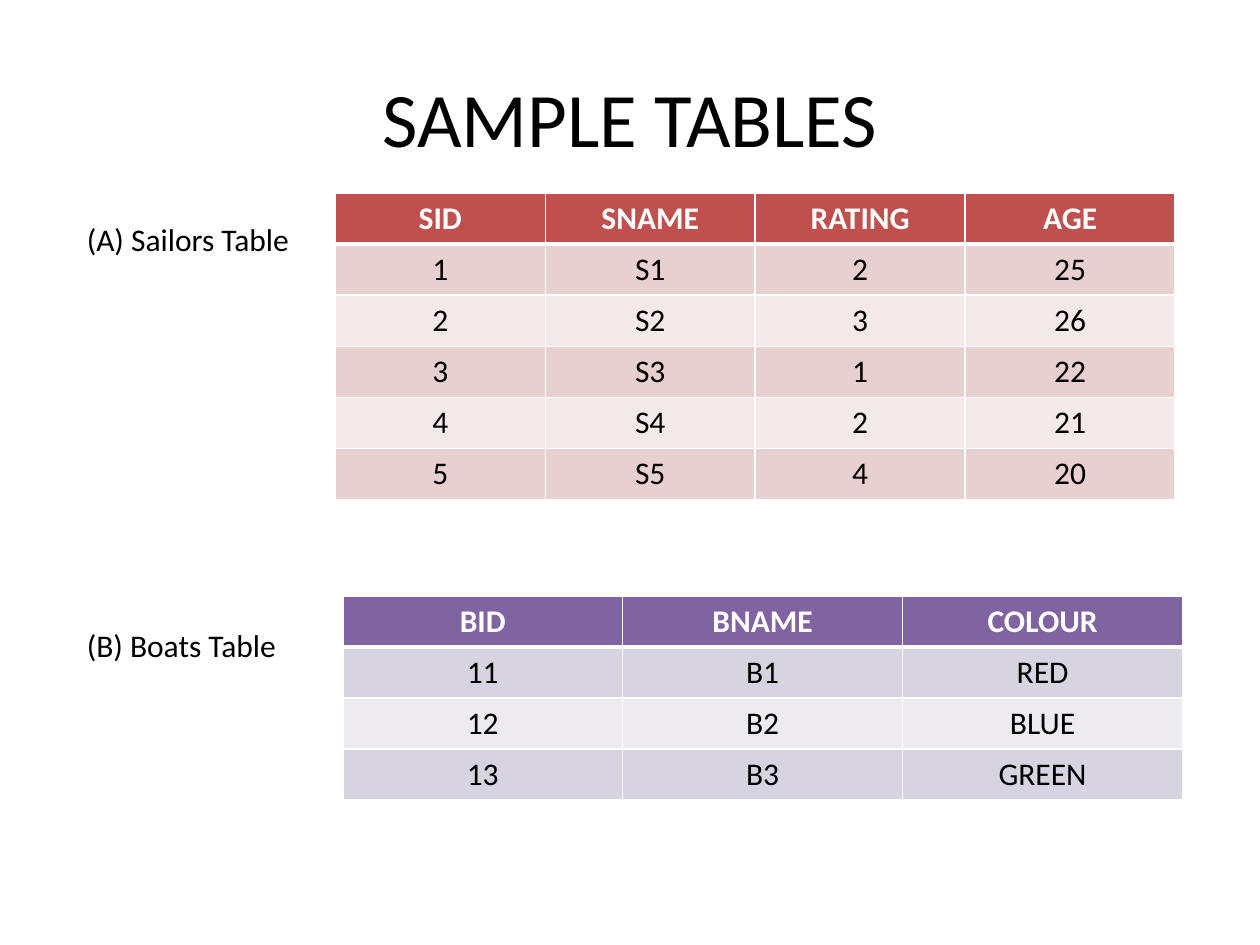
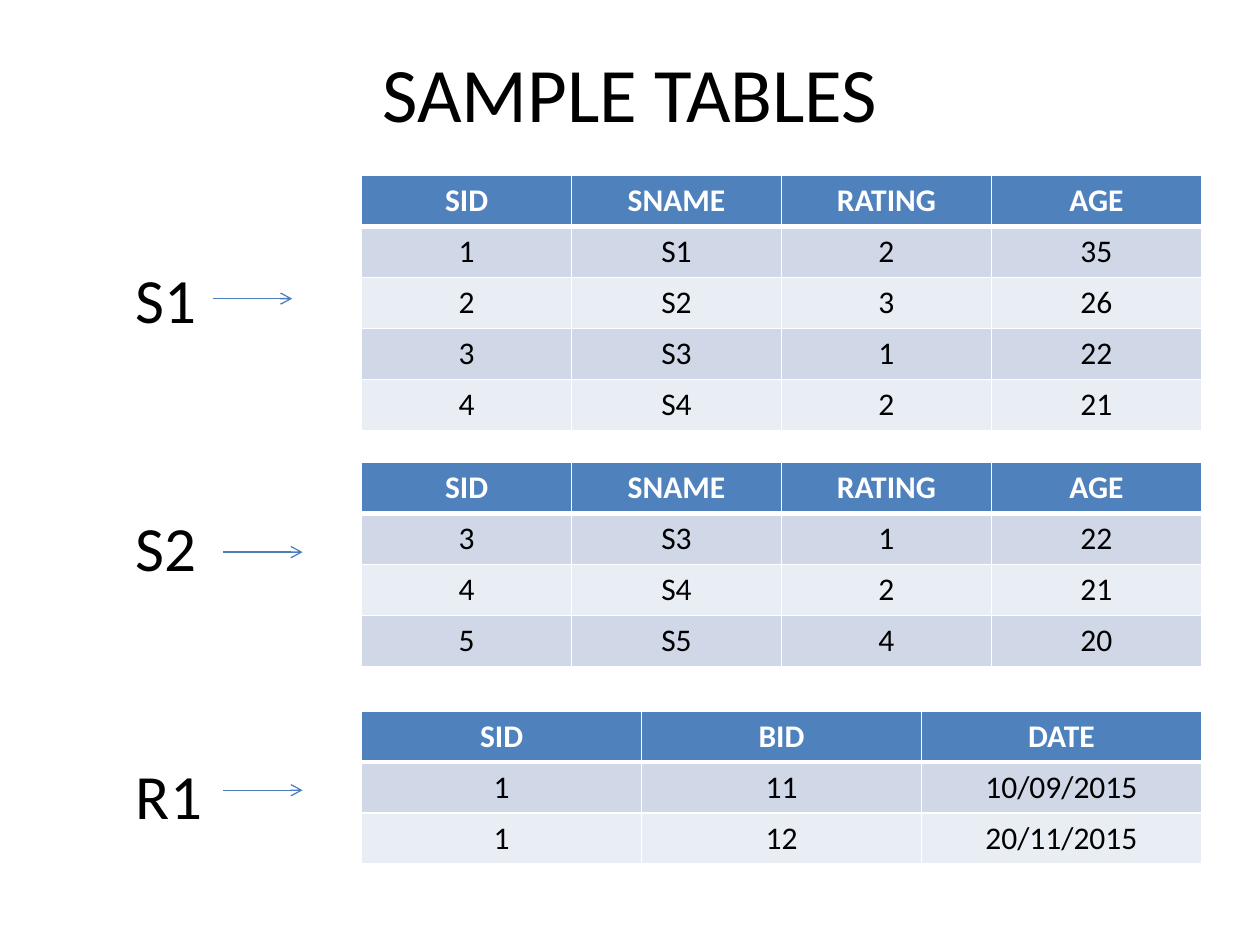
from lxml.etree import SubElement
from pptx import Presentation
from pptx.dml.color import RGBColor
from pptx.enum.shapes import MSO_CONNECTOR as Connector
from pptx.enum.text import MSO_ANCHOR as Anchor, PP_ALIGN as Align
from pptx.oxml import parse_xml
from pptx.oxml.ns import nsdecls, qn
from pptx.util import Cm, Pt

FONT = "Calibri"
BLACK = RGBColor(0x00, 0x00, 0x00)
WHITE = RGBColor(0xFF, 0xFF, 0xFF)
ARROW_BLUE = RGBColor(0x4B, 0x7E, 0xBC)

# Each palette: header, odd rows, even rows
RED = (RGBColor(0xC0, 0x50, 0x4D), RGBColor(0xE8, 0xD0, 0xD0), RGBColor(0xF4, 0xE9, 0xE9))
PURPLE = (RGBColor(0x80, 0x64, 0xA2), RGBColor(0xD8, 0xD3, 0xE0), RGBColor(0xED, 0xEA, 0xF0))
BLUE = (RGBColor(0x4F, 0x81, 0xBD), RGBColor(0xD0, 0xD8, 0xE8), RGBColor(0xE9, 0xED, 0xF4))

TABLE_WIDTH = 16.93
ROW_HEIGHT = 1.03
ARROW_LENGTH = 1.6

SAILOR_HEADER = ("SID", "SNAME", "RATING", "AGE")
SAILORS = [SAILOR_HEADER, (1, "S1", 2, 25), (2, "S2", 3, 26), (3, "S3", 1, 22),
           (4, "S4", 2, 21), (5, "S5", 4, 20)]
BOATS = [("BID", "BNAME", "COLOUR"), (11, "B1", "RED"), (12, "B2", "BLUE"), (13, "B3", "GREEN")]
S1 = [SAILOR_HEADER, (1, "S1", 2, 35), *SAILORS[2:5]]
S2 = [SAILOR_HEADER, *SAILORS[3:]]
R1 = [("SID", "BID", "DATE"), (1, 11, "10/09/2015"), (1, 12, "20/11/2015")]


def style_text(paragraph, size, color=BLACK, bold=False):
    for run in paragraph.runs:
        run.font.name = FONT
        run.font.size = Pt(size)
        run.font.bold = bold
        run.font.color.rgb = color


def add_titled_slide(prs, title_height):
    slide = prs.slides.add_slide(prs.slide_layouts[5])
    title = slide.shapes.title
    title.left, title.top = Cm(1.27), Cm(0.76)
    title.width, title.height = Cm(22.86), Cm(title_height)
    title.text_frame.text = "SAMPLE TABLES"
    title.text_frame.vertical_anchor = Anchor.MIDDLE
    heading = title.text_frame.paragraphs[0]
    heading.alignment = Align.CENTER
    style_text(heading, 44)
    return slide


def set_borders(cell, row):
    """Draw white cell edges, with a heavy rule under the header row."""
    widths = {"lnL": 1, "lnR": 1, "lnT": 3 if row == 1 else 1, "lnB": 3 if row == 0 else 1}
    properties = cell._tc.get_or_add_tcPr()
    for position, (side, width) in enumerate(widths.items()):
        properties.insert(position, parse_xml(
            f'<a:{side} {nsdecls("a")} w="{Pt(width)}"><a:solidFill>'
            f'<a:srgbClr val="{WHITE}"/></a:solidFill></a:{side}>'))


def add_relation(slide, left, top, records, palette):
    """Add a database relation; the first record holds the column names."""
    columns = len(records[0])
    table = slide.shapes.add_table(len(records), columns, Cm(left), Cm(top),
                                   Cm(TABLE_WIDTH), Cm(ROW_HEIGHT * len(records))).table
    for column in table.columns:
        column.width = Cm(TABLE_WIDTH / columns)
    header_fill, *bands = palette
    for r, record in enumerate(records):
        for c, value in enumerate(record):
            cell = table.cell(r, c)
            cell.fill.solid()
            cell.fill.fore_color.rgb = bands[(r - 1) % 2] if r else header_fill
            set_borders(cell, r)
            cell.text_frame.text = str(value)
            entry = cell.text_frame.paragraphs[0]
            entry.alignment = Align.CENTER
            style_text(entry, 18, BLACK if r else WHITE, bold=r == 0)


def add_label(slide, text, left, top, width, height, size):
    frame = slide.shapes.add_textbox(Cm(left), Cm(top), Cm(width), Cm(height)).text_frame
    frame.word_wrap = True
    frame.text = text
    style_text(frame.paragraphs[0], size)


def add_arrow(slide, left, top):
    arrow = slide.shapes.add_connector(Connector.STRAIGHT, Cm(left), Cm(top),
                                       Cm(left + ARROW_LENGTH), Cm(top))
    arrow.line.color.rgb = ARROW_BLUE
    arrow.line.width = Pt(0.75)
    SubElement(arrow.line._get_or_add_ln(), qn("a:tailEnd"), type="arrow")
    SubElement(arrow._element.spPr, qn("a:effectLst"))


def add_schema_slide(prs):
    slide = add_titled_slide(prs, 3.18)
    for name, label_top, left, top, records, palette in (
            ("(A) Sailors Table", 4.32, 6.76, 3.89, SAILORS, RED),
            ("(B) Boats Table", 12.5, 6.91, 12.01, BOATS, PURPLE)):
        add_relation(slide, left, top, records, palette)
        add_label(slide, name, 1.5, label_top, 4.8, 1.02, 18)


def add_instances_slide(prs):
    slide = add_titled_slide(prs, 2.16)
    instances = (("S1", S1, 3.53, 4.29, 6.02),
                 ("S2", S2, 9.32, 4.5, 11.13),
                 ("R1", R1, 14.33, 4.5, 15.93))
    for i, (name, records, top, arrow_left, arrow_top) in enumerate(instances):
        add_relation(slide, 7.29, top, records, BLUE)
        add_label(slide, name, 2.49, 5.13 + 5 * i, 3, 1.8, 36)
        add_arrow(slide, arrow_left, arrow_top)


def main():
    prs = Presentation()
    prs.slide_width, prs.slide_height = Cm(25.4), Cm(19.05)
    add_schema_slide(prs)
    add_instances_slide(prs)
    prs.save("out.pptx")


if __name__ == "__main__":
    main()
